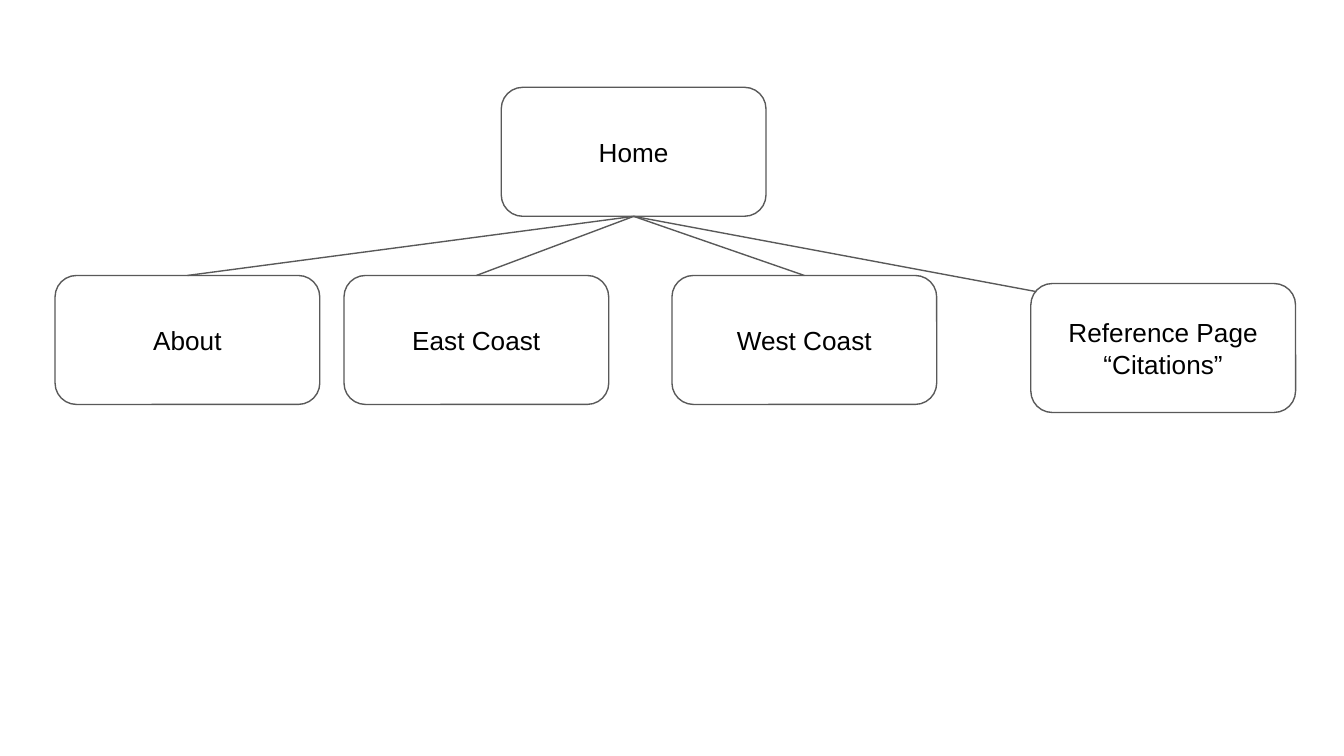
"""Build a site map slide with a home page and four child pages."""
from dataclasses import dataclass

from lxml import etree
from pptx import Presentation
from pptx.dml.color import RGBColor
from pptx.enum import shapes, text
from pptx.oxml import ns
from pptx.util import Inches, Pt

WHITE = RGBColor(0xFF, 0xFF, 0xFF)
BLACK = RGBColor(0x00, 0x00, 0x00)
GRAY = RGBColor(0x59, 0x59, 0x59)
SLIDE_W = 10
SLIDE_H = SLIDE_W * 9 / 16
BOX_W, BOX_H = 1.97, 0.96
TOP_SITE, BOTTOM_SITE = 0, 2


@dataclass
class Page:
    lines: tuple[str, ...]
    left: float
    top: float = 2.05
    joint: tuple[float, float] | None = None


HOME = Page(("Home",), 3.73, 0.65)
CHILDREN = (
    Page(("About",), 0.41),
    Page(("East Coast",), 2.56),
    Page(("West Coast",), 5),
    Page(("Reference Page", "“Citations”"), 7.67, 2.11, (7.71, 2.17)),
)


def add_page(slide, page: Page):
    sp = slide.shapes.add_shape(
        shapes.MSO_SHAPE.ROUNDED_RECTANGLE,
        Inches(page.left), Inches(page.top), Inches(BOX_W), Inches(BOX_H))
    sp.shadow.inherit = False
    sp.fill.solid()
    sp.fill.fore_color.rgb = WHITE
    sp.line.color.rgb = GRAY
    sp.line.width = Pt(0.75)
    tf = sp.text_frame
    tf.word_wrap = True
    tf.vertical_anchor = text.MSO_ANCHOR.MIDDLE
    tf.margin_left = tf.margin_right = Inches(0.1)
    tf.margin_top = tf.margin_bottom = Inches(0.1)
    for i, line in enumerate(page.lines):
        p = tf.add_paragraph() if i else tf.paragraphs[0]
        p.alignment = text.PP_ALIGN.CENTER
        r = p.add_run()
        r.text = line
        r.font.name = "Arial"
        r.font.size = Pt(14)
        r.font.color.rgb = BLACK
    return sp


def add_link(slide, parent, child, page: Page) -> None:
    x, y = page.joint or (page.left + BOX_W / 2, page.top)
    cx = slide.shapes.add_connector(
        shapes.MSO_CONNECTOR.STRAIGHT, Inches(HOME.left + BOX_W / 2),
        Inches(HOME.top + BOX_H), Inches(x), Inches(y))
    cx.begin_connect(parent, BOTTOM_SITE)
    if page.joint is None:
        cx.end_connect(child, TOP_SITE)
    cx.line.color.rgb = GRAY
    cx.line.width = Pt(0.75)
    etree.SubElement(cx._element.spPr, ns.qn("a:effectLst"))


def main() -> None:
    prs = Presentation()
    prs.slide_width, prs.slide_height = Inches(SLIDE_W), Inches(SLIDE_H)
    slide = prs.slides.add_slide(prs.slide_layouts[6])
    slide.background.fill.solid()
    slide.background.fill.fore_color.rgb = WHITE
    home = add_page(slide, HOME)
    for page in CHILDREN:
        add_link(slide, home, add_page(slide, page), page)
    prs.save("out.pptx")


main()
